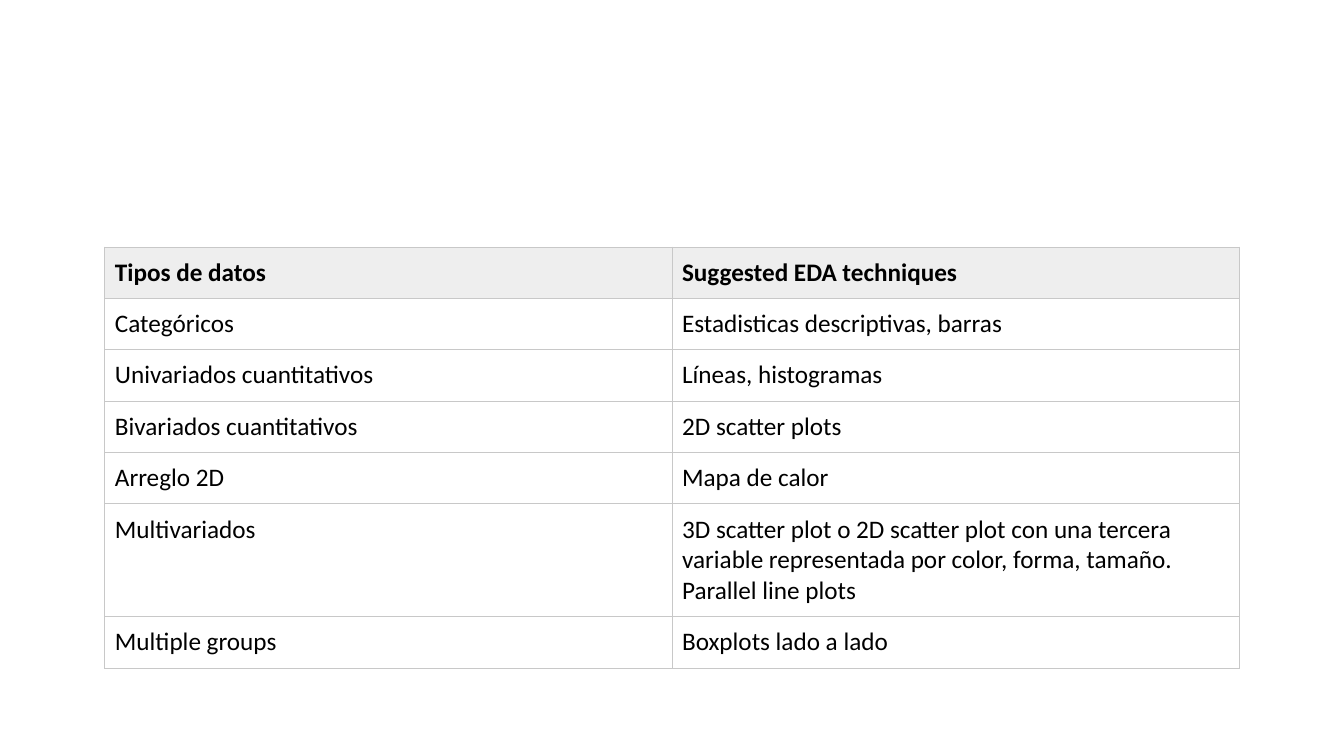
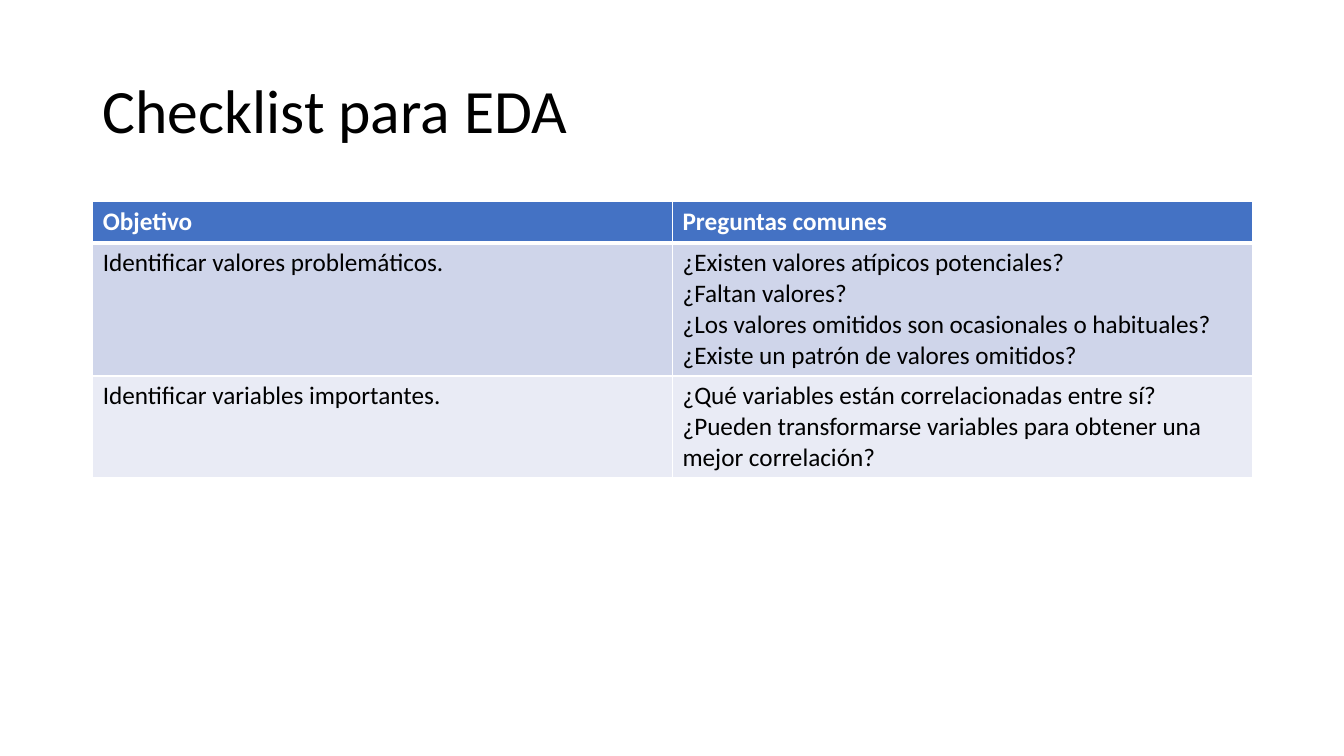
from dataclasses import dataclass

from lxml.etree import SubElement
from pptx import Presentation
from pptx.dml.color import RGBColor
from pptx.enum.text import MSO_ANCHOR as Anchor
from pptx.oxml.ns import qn
from pptx.util import Inches, Pt

FONT = "Calibri"
BLACK = RGBColor(0x00, 0x00, 0x00)
WHITE = RGBColor(0xFF, 0xFF, 0xFF)
PALE_GREY = RGBColor(0xEE, 0xEE, 0xEE)
RULE_GREY = RGBColor(0xC8, 0xC8, 0xC8)
BLUE = RGBColor(0x44, 0x72, 0xC4)
BAND_DARK = RGBColor(0xCF, 0xD5, 0xEA)
BAND_LIGHT = RGBColor(0xE9, 0xEB, 0xF5)

TECHNIQUES = [
    ("Tipos de datos", "Suggested EDA techniques"),
    ("Categóricos", "Estadisticas descriptivas, barras"),
    ("Univariados cuantitativos", "Líneas, histogramas"),
    ("Bivariados cuantitativos", "2D scatter plots"),
    ("Arreglo 2D", "Mapa de calor"),
    ("Multivariados",
     "3D scatter plot o 2D scatter plot con una tercera variable representada "
     "por color, forma, tamaño. Parallel line plots"),
    ("Multiple groups", "Boxplots lado a lado"),
]
CHECKLIST = [
    ("Objetivo", "Preguntas comunes"),
    ("Identificar valores problemáticos.",
     "¿Existen valores atípicos potenciales?\n"
     "¿Faltan valores?\n"
     "¿Los valores omitidos son ocasionales o habituales?\n"
     "¿Existe un patrón de valores omitidos?"),
    ("Identificar variables importantes.",
     "¿Qué variables están correlacionadas entre sí?\n"
     "¿Pueden transformarse variables para obtener una mejor correlación?"),
]


@dataclass
class TableLook:
    header_fill: RGBColor
    header_color: RGBColor
    header_anchor: Anchor
    bands: tuple
    rule_color: RGBColor
    rule_width: float
    header_rule_width: float
    inset: float


PLAIN = TableLook(PALE_GREY, BLACK, Anchor.MIDDLE, (WHITE, WHITE),
                  RULE_GREY, 0.75, 0.75, 0.1)
BANDED = TableLook(BLUE, WHITE, Anchor.TOP, (BAND_DARK, BAND_LIGHT),
                   WHITE, 1, 3, 0.05)


def add_run(paragraph, text, size, color, bold=False):
    run = paragraph.add_run()
    run.text = text
    run.font.name = FONT
    run.font.size = Pt(size)
    run.font.bold = bold
    run.font.color.rgb = color


def add_title(slide, text):
    box = slide.shapes.add_textbox(Inches(0.92), Inches(0.4), Inches(11.5), Inches(1.45))
    frame = box.text_frame
    frame.word_wrap = True
    frame.vertical_anchor = Anchor.MIDDLE
    paragraph = frame.paragraphs[0]
    paragraph.line_spacing = 0.9
    add_run(paragraph, text, 44, BLACK)


def set_borders(cell, row, look):
    widths = {
        "a:lnL": look.rule_width,
        "a:lnR": look.rule_width,
        "a:lnT": look.header_rule_width if row == 1 else look.rule_width,
        "a:lnB": look.header_rule_width if row == 0 else look.rule_width,
    }
    properties = cell._tc.get_or_add_tcPr()
    for tag, width in widths.items():
        border = SubElement(properties, qn(tag), w=str(Pt(width)))
        fill = SubElement(border, qn("a:solidFill"))
        SubElement(fill, qn("a:srgbClr"), val=str(look.rule_color))


def fill_cell(cell, row, text, look):
    header = row == 0
    set_borders(cell, row, look)
    cell.fill.solid()
    cell.fill.fore_color.rgb = look.header_fill if header else look.bands[(row - 1) % 2]
    cell.vertical_anchor = look.header_anchor if header else Anchor.TOP
    cell.margin_left = cell.margin_right = Inches(0.1)
    cell.margin_top = cell.margin_bottom = Inches(look.inset)
    frame = cell.text_frame
    for index, line in enumerate(text.split("\n")):
        paragraph = frame.add_paragraph() if index else frame.paragraphs[0]
        add_run(paragraph, line, 18, look.header_color if header else BLACK, header)


def add_table(slide, entries, left, top, width, heights, look):
    columns = len(entries[0])
    table = slide.shapes.add_table(
        len(entries), columns, Inches(left), Inches(top),
        Inches(width), Inches(sum(heights))).table
    table.horz_banding = False
    table.first_row = True
    for column in table.columns:
        column.width = Inches(width / columns)
    for row, (entry, height) in enumerate(zip(entries, heights)):
        table.rows[row].height = Inches(height)
        for column, text in enumerate(entry):
            fill_cell(table.cell(row, column), row, text, look)


def main():
    deck = Presentation()
    deck.slide_width, deck.slide_height = Inches(13.33), Inches(7.5)
    blank = deck.slide_layouts[6]

    techniques = deck.slides.add_slide(blank)
    add_table(techniques, TECHNIQUES, 1.04, 2.45, 11.25,
              [0.51] * 5 + [1.12, 0.51], PLAIN)

    checklist = deck.slides.add_slide(blank)
    add_title(checklist, "Checklist para EDA")
    add_table(checklist, CHECKLIST, 0.92, 2, 11.5, [0.41, 1.32, 1.01], BANDED)

    deck.save("out.pptx")


if __name__ == "__main__":
    main()
